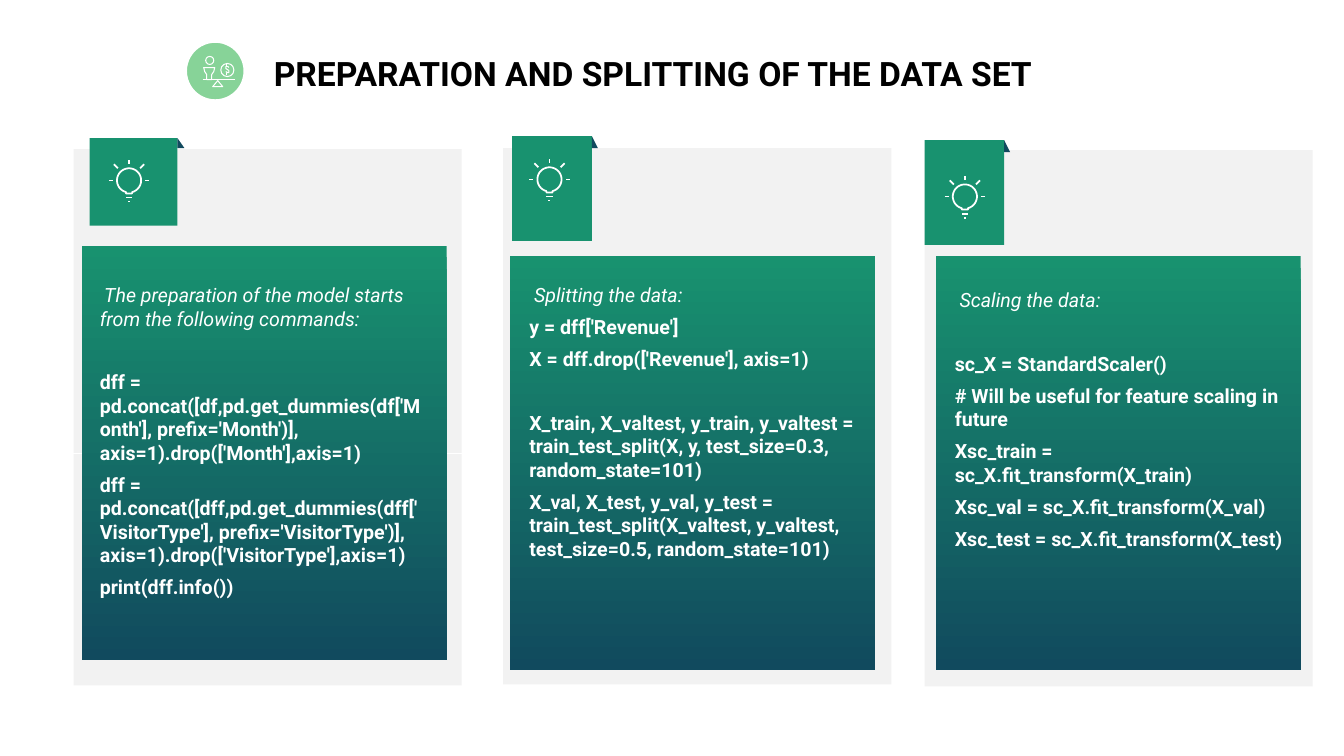
from math import cos, radians, sin

from lxml import etree
from pptx import Presentation
from pptx.dml.color import RGBColor
from pptx.enum.shapes import MSO_CONNECTOR, MSO_SHAPE
from pptx.enum.text import MSO_ANCHOR, PP_ALIGN
from pptx.oxml.ns import qn
from pptx.util import Inches, Pt

RECT, OVAL, FOLD = MSO_SHAPE.RECTANGLE, MSO_SHAPE.OVAL, MSO_SHAPE.RIGHT_TRIANGLE
STRAIGHT = MSO_CONNECTOR.STRAIGHT
BOTTOM, TOP = MSO_ANCHOR.BOTTOM, MSO_ANCHOR.TOP
CENTER, LEFT = PP_ALIGN.CENTER, PP_ALIGN.LEFT

COLORS = {"white": "FFFFFF", "black": "000000", "mint": "87D398",
          "card": "F2F2F2", "green": "18926F", "navy": "114A5E"}
TITLE_FONT = {"name": "Roboto", "size": Pt(24), "bold": True}
LEAD_FONT = {"name": "Roboto", "size": Pt(14), "italic": True}
CODE_FONT = {"name": "Roboto", "size": Pt(14), "bold": True}

CARD_SIZE = (3.85, 5.32)
BODY_SIZE = (3.62, 4.11)
BLOCK_GAP = Pt(22.5)

# Offsets of tab, bulb, body and text are measured from the card's corner
PANELS = [
    {"card": (0.73, 1.48), "tab": (0.16, -0.11, 0.87, 0.87), "fold": (0.07, 0.1),
     "bulb": (0.55, 0.31), "body": (0.08, 0.96), "text": (0.26, 1.33, 3.26, 3.55),
     "rule_y": 3.02,
     "blocks": [
         [" The preparation of the model starts from the following commands:"],
         ["dff = pd.concat([df,pd.get_dummies(df['Month'], prefix='Month')], "
          "axis=1).drop(['Month'],axis=1)",
          "dff = pd.concat([dff,pd.get_dummies(dff['VisitorType'], "
          "prefix='VisitorType')], axis=1).drop(['VisitorType'],axis=1)",
          "print(dff.info())"]]},
    {"card": (4.99, 1.47), "tab": (0.09, -0.12, 0.79, 1.04), "fold": (0.06, 0.12),
     "bulb": (0.46, 0.31), "body": (0.07, 1.07), "text": (0.26, 1.34, 3.23, 3.61),
     "blocks": [
         [" Splitting the data:", "y = dff['Revenue']",
          "X = dff.drop(['Revenue'], axis=1)"],
         ["X_train, X_valtest, y_train, y_valtest = train_test_split(X, y, "
          "test_size=0.3, random_state=101)",
          "X_val, X_test, y_val, y_test = train_test_split(X_valtest, y_valtest, "
          "test_size=0.5, random_state=101)"]]},
    {"card": (9.17, 1.49), "tab": (0, -0.1, 0.79, 1.04), "fold": (0.06, 0.12),
     "bulb": (0.4, 0.46), "body": (0.11, 1.05), "text": (0.3, 1.37, 3.26, 3.68),
     "blocks": [
         [" Scaling the data:"],
         ["sc_X = StandardScaler()", "# Will be useful for feature scaling in future",
          "Xsc_train = sc_X.fit_transform(X_train)",
          "Xsc_val = sc_X.fit_transform(X_val)",
          "Xsc_test = sc_X.fit_transform(X_test)"]]},
]


def rgb(color):
    return RGBColor.from_string(COLORS[color])


def paint(shape, fill=None, line=None, weight=1):
    shape.shadow.inherit = False
    if fill:
        shape.fill.solid()
        shape.fill.fore_color.rgb = rgb(fill)
    else:
        shape.fill.background()
    if line:
        shape.line.color.rgb = rgb(line)
        shape.line.width = Pt(weight)
    else:
        shape.line.fill.background()


def add_block(slide, kind, left, top, width, height, **look):
    block = slide.shapes.add_shape(
        kind, Inches(left), Inches(top), Inches(width), Inches(height))
    paint(block, **look)
    return block


def add_stroke(slide, x1, y1, x2, y2, weight):
    stroke = slide.shapes.add_connector(
        STRAIGHT, Inches(x1), Inches(y1), Inches(x2), Inches(y2))
    stroke.line.color.rgb = rgb("white")
    stroke.line.width = Pt(weight)
    etree.SubElement(stroke._element.spPr, qn("a:effectLst"))


def add_outline(slide, x, y, points, weight, close=True):
    corners = [(Inches(x + dx), Inches(y + dy)) for dx, dy in points]
    builder = slide.shapes.build_freeform(*corners[0])
    builder.add_line_segments(corners[1:], close=close)
    paint(builder.convert_to_shape(), line="white", weight=weight)


def add_text(slide, left, top, width, height, anchor, inset=0):
    frame = slide.shapes.add_textbox(
        Inches(left), Inches(top), Inches(width), Inches(height)).text_frame
    frame.word_wrap = True
    frame.vertical_anchor = anchor
    margins = {"margin_left": 0, "margin_right": 0,
               "margin_top": Inches(inset), "margin_bottom": Inches(inset)}
    for name, value in margins.items():
        setattr(frame, name, value)
    return frame


def write(paragraph, text, font, color, **layout):
    for name, value in layout.items():
        setattr(paragraph, name, value)
    run = paragraph.add_run()
    run.text = text
    for name, value in font.items():
        setattr(run.font, name, value)
    run.font.color.rgb = rgb(color)


def draw_header(slide, left, top, width, height):
    title = add_text(slide, left, top, width, height, BOTTOM, 0.05)
    write(title.paragraphs[0], "PREPARATION AND SPLITTING OF THE DATA SET",
          TITLE_FONT, "black", alignment=CENTER, line_spacing=0.9)
    draw_balance_badge(slide, left + 1.09, top + 0.14, 0.63)


def draw_balance_badge(slide, left, top, size):
    add_block(slide, OVAL, left, top, size, size, fill="mint", line="white", weight=5)
    thin = 0.75
    # Head and coin
    for dx, dy, diameter in [(0.22, 0.17, 0.08), (0.37, 0.24, 0.13)]:
        add_block(slide, OVAL, left + dx, top + dy, diameter, diameter,
                  line="white", weight=thin)
    # Torso and pivot
    torso = [(0.2, 0.28), (0.31, 0.28), (0.3, 0.32), (0.28, 0.35), (0.28, 0.4),
             (0.23, 0.4), (0.23, 0.35), (0.21, 0.32)]
    pivot = [(0.29, 0.47), (0.34, 0.41), (0.39, 0.47)]
    for part in (torso, pivot):
        add_outline(slide, left, top, part, thin)
    # Dollar sign
    dollar = [(0.45, 0.28), (0.44, 0.27), (0.42, 0.27), (0.42, 0.29),
              (0.45, 0.31), (0.45, 0.33), (0.43, 0.33), (0.42, 0.32)]
    add_outline(slide, left, top, dollar, thin, close=False)
    for y1, y2 in [(0.25, 0.27), (0.33, 0.35)]:
        add_stroke(slide, left + 0.43, top + y1, left + 0.43, top + y2, thin)
    # Beam
    add_stroke(slide, left + 0.19, top + 0.4, left + 0.51, top + 0.4, thin)


def draw_bulb(slide, x, y):
    radius, weight = 0.12, 1.25
    glass = [(radius * cos(radians(a)), radius * sin(radians(a)))
             for a in range(105, 436, 10)]
    add_outline(slide, x, y, glass + [(0.03, 0.13), (-0.03, 0.13)], weight)
    # Socket, then rays
    strokes = [(-0.01, 0.21, 0.01, 0.21), (-0.03, 0.17, 0.03, 0.17),
               (0, -0.2, 0, -0.16)]
    for side in (-1, 1):
        strokes += [(side * 0.2, 0, side * 0.16, 0),
                    (side * 0.15, -0.16, side * 0.11, -0.12)]
    for x1, y1, x2, y2 in strokes:
        add_stroke(slide, x + x1, y + y1, x + x2, y + y2, weight)


def draw_panel(slide, panel):
    left, top = panel["card"]
    add_block(slide, RECT, left, top, *CARD_SIZE, fill="card")
    # Tab with folded corner and bulb
    dx, dy, width, height = panel["tab"]
    add_block(slide, RECT, left + dx, top + dy, width, height, fill="green")
    add_block(slide, FOLD, left + dx + width, top + dy, *panel["fold"], fill="navy")
    draw_bulb(slide, left + panel["bulb"][0], top + panel["bulb"][1])
    if "rule_y" in panel:
        rule_y = top + panel["rule_y"]
        add_stroke(slide, left - 0.02, rule_y, left + CARD_SIZE[0], rule_y, 0.5)
    # Gradient body
    dx, dy = panel["body"]
    body = add_block(slide, RECT, left + dx, top + dy, *BODY_SIZE)
    body.fill.gradient()
    body.fill.gradient_angle = 270
    for stop, color, position in zip(body.fill.gradient_stops, ("green", "navy"), (0, 1)):
        stop.color.rgb = rgb(color)
        stop.position = position
    # Lead line and code
    dx, dy, width, height = panel["text"]
    frame = add_text(slide, left + dx, top + dy, width, height, TOP)
    for b, block in enumerate(panel["blocks"]):
        for i, text in enumerate(block):
            lead = b == i == 0
            paragraph = frame.paragraphs[0] if lead else frame.add_paragraph()
            write(paragraph, text, LEAD_FONT if lead else CODE_FONT, "white",
                  alignment=LEFT, space_after=Pt(6),
                  space_before=BLOCK_GAP if b and i == 0 else Pt(0))


def main():
    deck = Presentation()
    deck.slide_width, deck.slide_height = Inches(13.33), Inches(7.5)
    slide = deck.slides.add_slide(deck.slide_layouts[6])
    draw_header(slide, 0.73, 0.25, 11.49, 0.73)
    for panel in PANELS:
        draw_panel(slide, panel)
    deck.save("out.pptx")


if __name__ == "__main__":
    main()
